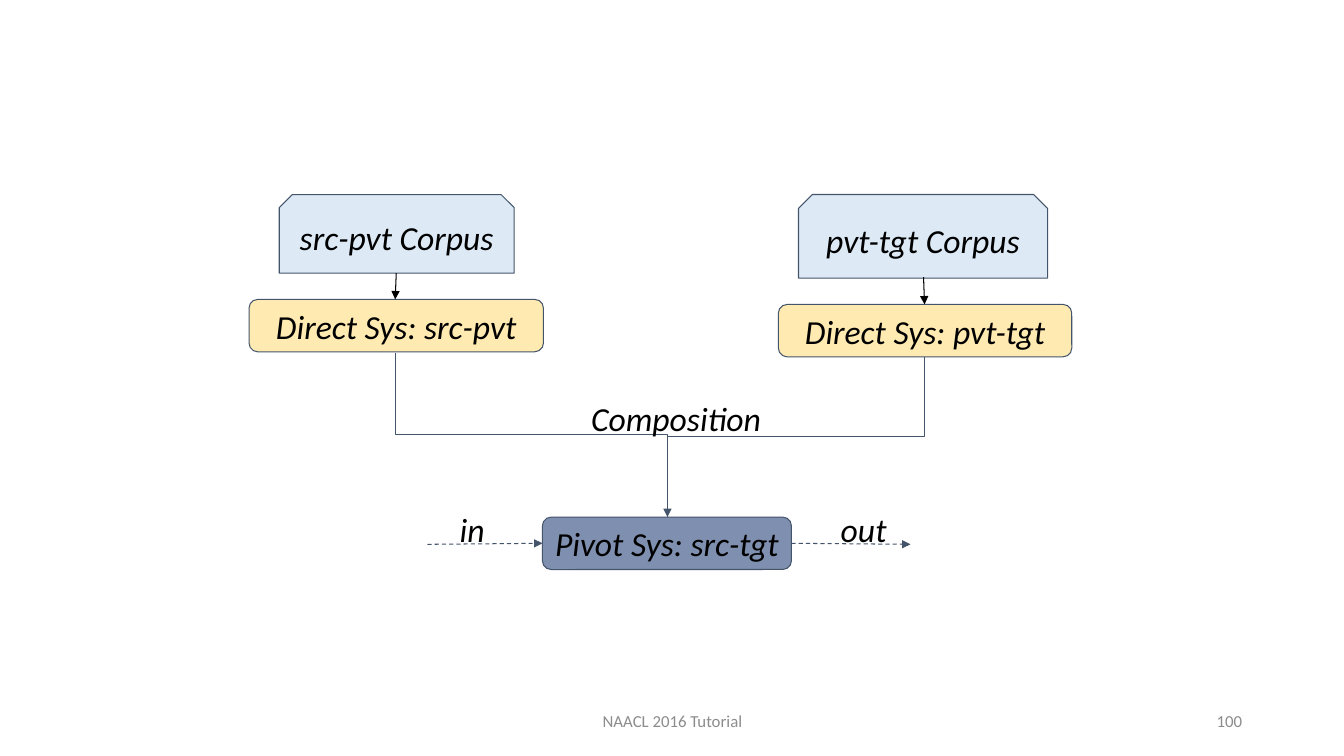
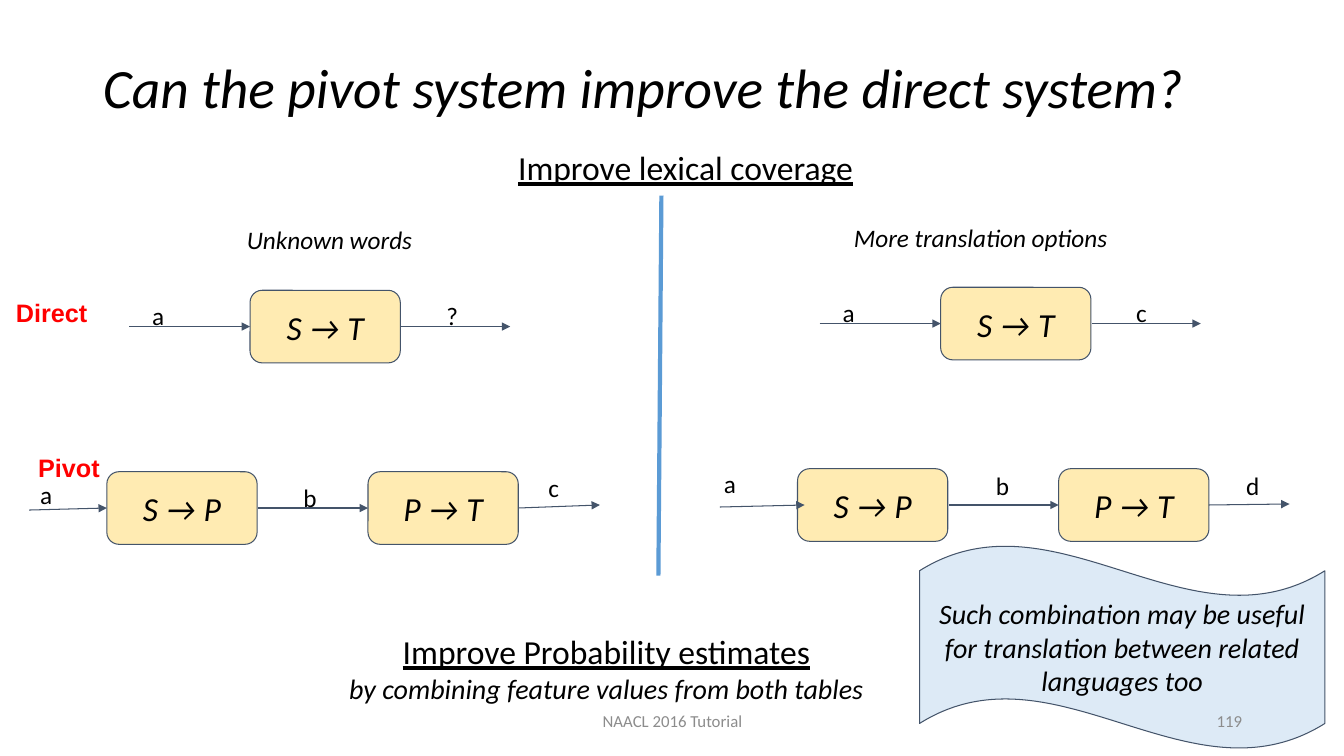
"""Build two slides on combining pivot and direct translation systems."""
import dataclasses
import typing

import pptx
import pptx.dml.color
import pptx.enum.dml
import pptx.enum.shapes
import pptx.enum.text
import pptx.oxml.ns
import pptx.oxml.xmlchemy
import pptx.util

Inches = pptx.util.Inches
Align = pptx.enum.text.PP_ALIGN
Anchor = pptx.enum.text.MSO_ANCHOR
Preset = pptx.enum.shapes.MSO_SHAPE
ConnectorKind = pptx.enum.shapes.MSO_CONNECTOR
Point = tuple[float, float]
Box = tuple[float, float, float, float]

BLACK, SLATE, GRAY, RED = "000000", "44546A", "8C8C8C", "FF0000"
PALE_BLUE, YELLOW, NAVY, DIVIDER_BLUE = "BDD7EE", "FFD966", "002060", "5B9BD5"


@dataclasses.dataclass(frozen=True)
class TextStyle:
    """Character and paragraph formatting."""
    size: float = 24
    color: str = BLACK
    font: str = "Calibri"
    italic: bool = False
    bold: bool = False
    underline: bool = False
    align: Align = Align.LEFT


@dataclasses.dataclass(frozen=True)
class Node:
    """A filled shape with centred text."""
    text: str
    box: Box
    fill: str = YELLOW
    preset: Preset = Preset.ROUNDED_RECTANGLE
    size: float = 24
    wrap: bool = False


@dataclasses.dataclass(frozen=True)
class Label:
    """A text box with one line of text."""
    text: str
    box: Box
    style: TextStyle
    inset: float = 0.1


@dataclasses.dataclass(frozen=True)
class Panel:
    """One half of the comparison, shifted from the left half."""
    shift: Point
    entry_end: float
    exit_end: Point
    heading: Label
    letters: tuple[tuple[str, float, float], ...]


ITALIC = TextStyle(italic=True)
ITALIC_CENTER = TextStyle(italic=True, align=Align.CENTER)
LETTER = TextStyle(size=18)
HEADING = TextStyle(size=18, italic=True)
ROW_NAME = TextStyle(size=18, color=RED, font="Arial", bold=True)
TITLE = TextStyle(size=39.6, italic=True)
UNDERLINED = TextStyle(underline=True)
FOOTER = TextStyle(size=12, color=GRAY, align=Align.CENTER)

PANELS = (
    Panel((0, 0), 1.06, (5.95, 5.01),
          Label("Unknown words", (2.35, 2.18, 1.87, 0.4), HEADING, 0.05),
          (("a", 1.41, 2.88), ("?", 4.33, 2.88), ("a", 0.3, 4.65),
           ("b", 2.91, 4.68), ("c", 5.34, 4.59))),
    Panel((6.85, -0.03), 7.98, (12.79, 5),
          Label("More translation options", (8.37, 2.16, 3.17, 0.4), HEADING, 0.05),
          (("a", 8.26, 2.85), ("c", 11.17, 2.85), ("a", 7.08, 4.55),
           ("b", 9.78, 4.57), ("d", 12.26, 4.57))),
)


def rgb(color: str) -> pptx.dml.color.RGBColor:
    """Turn a hex string into a colour."""
    return pptx.dml.color.RGBColor.from_string(color)


def format_paragraph(paragraph: typing.Any, text: str, style: TextStyle) -> None:
    """Fill a paragraph and apply a style to it."""
    paragraph.text = text
    paragraph.alignment = style.align
    font = paragraph.font
    font.name, font.size = style.font, pptx.util.Pt(style.size)
    font.italic, font.bold, font.underline = style.italic, style.bold, style.underline
    font.color.rgb = rgb(style.color)


def set_frame(frame: typing.Any, anchor: Anchor, wrap: bool, inset: float = 0.1) -> None:
    """Set anchor, wrapping and margins of a text frame."""
    frame.auto_size = pptx.enum.text.MSO_AUTO_SIZE.NONE
    frame.word_wrap, frame.vertical_anchor = wrap, anchor
    frame.margin_left = frame.margin_right = Inches(0.1)
    frame.margin_top = frame.margin_bottom = Inches(inset)


def add_label(slide: typing.Any, label: Label, anchor: Anchor = Anchor.TOP) -> typing.Any:
    """Draw a text box and return its text frame."""
    frame = slide.shapes.add_textbox(*map(Inches, label.box)).text_frame
    set_frame(frame, anchor, True, label.inset)
    format_paragraph(frame.paragraphs[0], label.text, label.style)
    return frame


def add_node(slide: typing.Any, node: Node) -> None:
    """Draw a half-transparent shape with its text."""
    shape = slide.shapes.add_shape(node.preset, *map(Inches, node.box))
    shape.shadow.inherit = False
    shape.fill.solid()
    shape.fill.fore_color.rgb = rgb(node.fill)
    alpha = pptx.oxml.xmlchemy.OxmlElement("a:alpha")
    alpha.set("val", "50000")
    shape.element.spPr.find(pptx.oxml.ns.qn("a:solidFill"))[0].append(alpha)
    shape.line.color.rgb = rgb(SLATE)
    shape.line.width = pptx.util.Pt(0.75)
    set_frame(shape.text_frame, Anchor.MIDDLE, node.wrap)
    style = dataclasses.replace(ITALIC_CENTER, size=node.size)
    format_paragraph(shape.text_frame.paragraphs[0], node.text, style)


def add_line(slide: typing.Any, start: Point, end: Point, color: str = SLATE,
             width: float = 0.75, arrow: bool = True, dashed: bool = False,
             kind: ConnectorKind = ConnectorKind.STRAIGHT) -> typing.Any:
    """Draw a connector, by default with an arrowhead."""
    connector = slide.shapes.add_connector(kind, *map(Inches, start + end))
    connector.line.color.rgb = rgb(color)
    connector.line.width = pptx.util.Pt(width)
    if dashed:
        connector.line.dash_style = pptx.enum.dml.MSO_LINE.DASH
    if arrow:
        head = pptx.oxml.xmlchemy.OxmlElement("a:tailEnd")
        head.set("type", "triangle")
        connector.element.spPr.find(pptx.oxml.ns.qn("a:ln")).append(head)
    connector.element.spPr.append(pptx.oxml.xmlchemy.OxmlElement("a:effectLst"))
    return connector


def add_drop_elbow(slide: typing.Any, start: Point, end: Point, arrow: bool) -> None:
    """Draw an elbow that leaves and arrives vertically."""
    center_x, center_y = (start[0] + end[0]) / 2, (start[1] + end[1]) / 2
    half_width, half_height = (end[1] - start[1]) / 2, abs(end[0] - start[0]) / 2
    rightward = end[0] > start[0]
    side = half_width if rightward else -half_width
    connector = add_line(slide, (center_x + side, center_y - half_height),
                         (center_x - side, center_y + half_height),
                         arrow=arrow, kind=ConnectorKind.ELBOW)
    degrees = 270 if rightward else 90
    transform = connector.element.spPr.find(pptx.oxml.ns.qn("a:xfrm"))
    transform.set("rot", str(degrees * 60000))


def add_footer(slide: typing.Any, number: str) -> None:
    """Draw the slide number and the footer text."""
    right = dataclasses.replace(FOOTER, align=Align.RIGHT)
    for label in (Label(number, (9.42, 6.95, 3, 0.4), right, 0.05),
                  Label("NAACL 2016 Tutorial", (4.42, 6.95, 4.5, 0.4), FOOTER, 0.05)):
        add_label(slide, label, Anchor.MIDDLE)


def build_composition(presentation: typing.Any) -> None:
    """Build the slide on composing two direct systems."""
    slide = presentation.slides.add_slide(presentation.slide_layouts[6])
    corpus = Preset.SNIP_2_SAME_RECTANGLE
    for node in (
        Node("src-pvt Corpus", (2.77, 1.93, 2.33, 0.78), PALE_BLUE, corpus),
        Node("pvt-tgt Corpus", (7.92, 1.93, 2.47, 0.83), PALE_BLUE, corpus),
        Node("Direct Sys: src-pvt", (2.47, 2.97, 2.92, 0.52)),
        Node("Direct Sys: pvt-tgt", (7.72, 3.02, 2.91, 0.52)),
        Node("Pivot Sys: src-tgt", (5.38, 5.13, 2.47, 0.52), NAVY),
    ):
        add_node(slide, node)
    add_line(slide, (3.93, 2.71), (3.92, 2.97), BLACK)
    add_line(slide, (9.16, 2.75), (9.17, 3.02), BLACK)
    add_drop_elbow(slide, (3.92, 3.5), (6.62, 5.13), True)
    add_drop_elbow(slide, (9.17, 3.54), (6.62, 5.13), False)
    add_line(slide, (4.24, 5.4), (5.38, 5.39), dashed=True)
    add_line(slide, (7.85, 5.39), (9.03, 5.4), dashed=True)
    add_label(slide, Label("Composition", (5.7, 3.85, 2.01, 0.37), ITALIC_CENTER))
    add_label(slide, Label("in", (4.46, 4.95, 0.75, 0.26), ITALIC))
    add_label(slide, Label("out", (8.24, 4.95, 0.85, 0.34), ITALIC))
    add_footer(slide, "100")


def add_panel(slide: typing.Any, panel: Panel) -> None:
    """Draw the direct and pivot chains of one half."""
    shift_x, shift_y = panel.shift

    def at(x: float, y: float) -> Point:
        """Shift a point into this panel."""
        return x + shift_x, y + shift_y

    for text, x, y in (("S → T", 2.48, 2.88), ("S → P", 1.06, 4.68), ("P → T", 3.65, 4.68)):
        add_node(slide, Node(text, at(x, y) + (1.49, 0.72)))
    for start, end in (
        (at(1.28, 3.24), at(2.48, 3.24)),
        (at(3.98, 3.24), at(5.06, 3.24)),
        (at(0.29, 5.06), (panel.entry_end, 5.04 + shift_y)),
        (at(2.56, 5.04), at(3.65, 5.04)),
        (at(5.14, 5.04), panel.exit_end),
    ):
        add_line(slide, start, end)
    for text, x, y in panel.letters:
        add_label(slide, Label(text, (x, y, 0.59, 0.28), LETTER))
    add_label(slide, panel.heading)


def build_comparison(presentation: typing.Any) -> None:
    """Build the slide comparing direct and pivot systems."""
    slide = presentation.slides.add_slide(presentation.slide_layouts[5])
    title = slide.shapes.title
    title.left, title.top, title.width, title.height = map(Inches, (0.92, 0.4, 11.87, 1))
    set_frame(title.text_frame, Anchor.MIDDLE, True, 0.05)
    paragraph = title.text_frame.paragraphs[0]
    format_paragraph(paragraph, "Can the pivot system improve the direct system?", TITLE)
    paragraph.line_spacing = 0.9
    for panel in PANELS:
        add_panel(slide, panel)
    add_label(slide, Label("Improve lexical coverage", (5.04, 1.36, 6.43, 0.4), UNDERLINED))
    add_label(slide, Label("Direct", (0.06, 2.9, 1.12, 0.4), ROW_NAME, 0.05))
    add_label(slide, Label("Pivot", (0.28, 4.44, 1.12, 0.4), ROW_NAME, 0.05))
    centered = dataclasses.replace(UNDERLINED, align=Align.CENTER)
    estimates = add_label(
        slide, Label("Improve Probability estimates", (2.8, 6.16, 6.43, 0.4), centered))
    format_paragraph(estimates.add_paragraph(), "by combining feature values from both tables",
                     dataclasses.replace(ITALIC_CENTER, size=20))
    add_line(slide, (6.56, 1.94), (6.53, 5.71), DIVIDER_BLUE, 3, arrow=False)
    add_node(slide, Node(
        "Such combination may be useful for translation between related languages too",
        (9.12, 5.41, 4.02, 2.02), PALE_BLUE, Preset.WAVE, 20, True))
    add_footer(slide, "119")


def main() -> None:
    """Build and save the presentation."""
    presentation = pptx.Presentation()
    presentation.slide_width, presentation.slide_height = Inches(13.33), Inches(7.5)
    build_composition(presentation)
    build_comparison(presentation)
    presentation.save("out.pptx")


if __name__ == "__main__":
    main()
